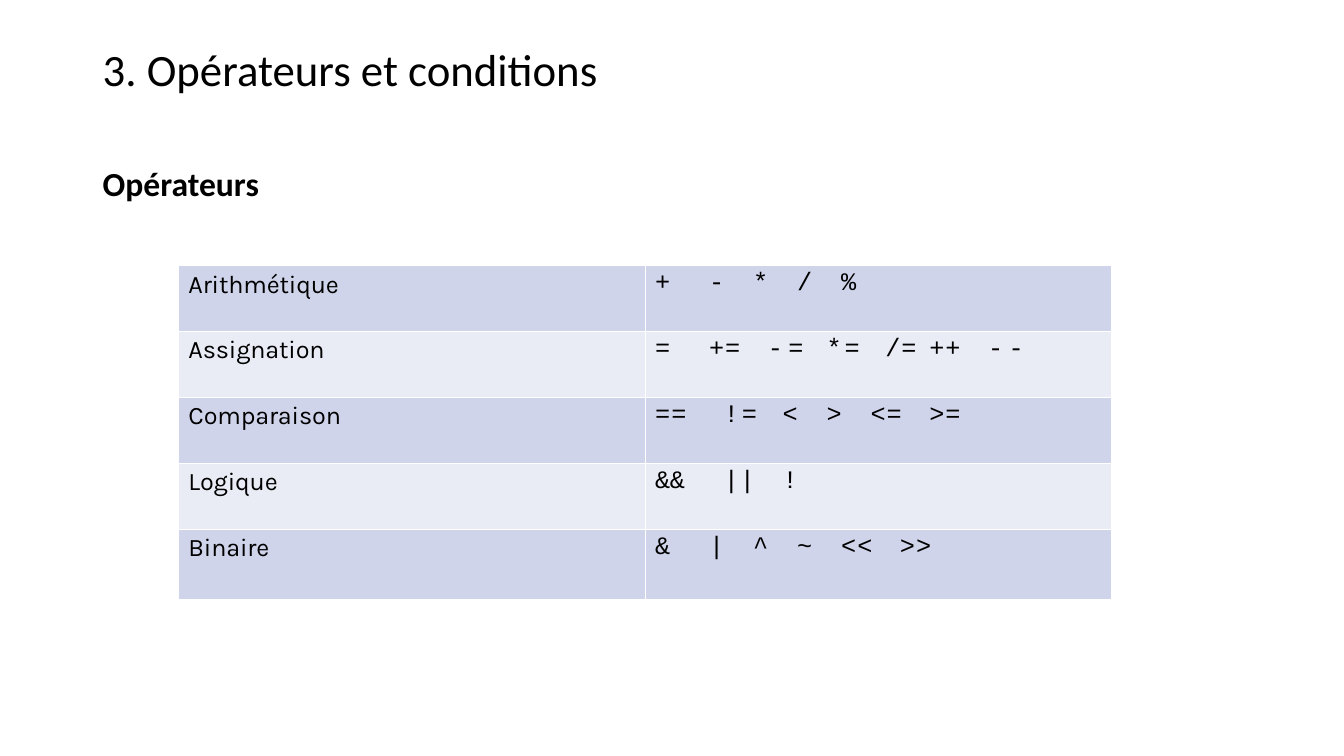
import pptx
import pptx.dml.color
import pptx.enum.text
import pptx.oxml.ns
import pptx.util
from lxml import etree

Cm = pptx.util.Cm
Pt = pptx.util.Pt

TAB_ORIGIN, CHARACTER_WIDTH = 0.25, 0.37
BAND_FILLS = ["CFD4EA", "E9EBF5"]

# Each operator run is (text, letter spacing in points); tab stops are in character columns.
OPERATORS = [
    ("Arithmétique", [3, 6, 9, 12],
     [("+\t", 0.5), ("-\t*\t", 3.4), ("/\t", 0.5), ("%", -0.5)]),
    ("Assignation", [3, 7, 11, 15, 18, 22],
     [("=\t", 0.5), ("+=\t", 0.6), ("-", 3.8), ("=\t", 0.5), ("*=\t", 2.1),
      ("/=\t", 0.8), ("++\t", 0.7), ("-", 3.9), ("-", 3.4)]),
    ("Comparaison", [4, 8, 11, 14, 18],
     [("==\t", 0.8), ("!=\t", 2.1), ("<\t>\t", 0.5), ("<=\t>=", 0.7)]),
    ("Logique", [4, 8],
     [("&&\t", -0.2), ("||\t", 0.8), ("!", 3.4)]),
    ("Binaire", [3, 6, 9, 12, 16],
     [("&\t", -0.5), ("|\t^\t~\t", 0.5), ("<<\t>>", 0.7)]),
]


def color(hex_code):
    """Turn a hex string into a colour."""
    return pptx.dml.color.RGBColor.from_string(hex_code)


def add_child(parent, tag, **attributes):
    """Append a DrawingML element to its parent."""
    return etree.SubElement(parent, pptx.oxml.ns.qn(tag), attributes)


def style_run(run, font_name, size, bold=False, spacing=0):
    """Format one run of black text."""
    run.font.name = font_name
    run.font.size = Pt(size)
    run.font.bold = bold
    run.font.color.rgb = color("000000")
    if spacing:
        run._r.get_or_add_rPr().set("spc", str(round(spacing * 100)))


def add_heading(slide, box, text, size, bold, anchor, line_spacing):
    """Place a one-line heading in its box."""
    frame = slide.shapes.add_textbox(*map(Cm, box)).text_frame
    frame.word_wrap = True
    frame.vertical_anchor = anchor
    frame.text = text
    heading = frame.paragraphs[0]
    heading.line_spacing = line_spacing
    style_run(heading.runs[0], "Calibri", size, bold)


def style_cell(cell, fill):
    """Give a cell its margins, white borders and fill."""
    cell.margin_left, cell.margin_top = Cm(0.25), Cm(0.1)
    cell.margin_right = cell.margin_bottom = Cm(0)
    properties = cell._tc.get_or_add_tcPr()
    for side in "LRTB":
        border = add_child(properties, f"a:ln{side}", w=str(Pt(1)))
        add_child(add_child(border, "a:solidFill"), "a:srgbClr", val="FFFFFF")
    cell.fill.solid()
    cell.fill.fore_color.rgb = color(fill)


def fill_cell(cell, runs, font_name, columns=()):
    """Write letter-spaced runs and their tab stops into a cell."""
    paragraph = cell.text_frame.paragraphs[0]
    if columns:
        tab_list = add_child(paragraph._p.get_or_add_pPr(), "a:tabLst")
        for column in columns:
            position = Cm(TAB_ORIGIN + CHARACTER_WIDTH * column)
            add_child(tab_list, "a:tab", pos=str(position), algn="l")
    for text, spacing in runs:
        run = paragraph.add_run()
        run.text = text
        style_run(run, font_name, 18, spacing=spacing)


def add_operator_table(slide, box):
    """Place the operator families and their symbols in the box."""
    left, top, width, height = map(Cm, box)
    table = slide.shapes.add_table(len(OPERATORS), 2, left, top, width, height).table
    table.first_row = table.horz_banding = False
    for index, (family, columns, symbols) in enumerate(OPERATORS):
        table.rows[index].height = Cm(1.66)
        family_cell, symbol_cell = table.rows[index].cells
        for cell in (family_cell, symbol_cell):
            style_cell(cell, BAND_FILLS[index % 2])
        fill_cell(family_cell, [(family, -0.1)], "Karla")
        fill_cell(symbol_cell, symbols, "Courier New", columns)
    table.rows[len(OPERATORS) - 1].height = Cm(1.77)


def build_operator_slide(presentation):
    """Build the slide on operators."""
    slide = presentation.slides.add_slide(presentation.slide_layouts[6])
    anchors = pptx.enum.text.MSO_ANCHOR
    add_heading(slide, (2.34, 1.02, 29.2, 1.6), "3. Opérateurs et conditions",
                32, False, anchors.MIDDLE, 0.9)
    add_heading(slide, (2.34, 3.99, 29.2, 3.33), "Opérateurs",
                24, True, anchors.TOP, 1.0)
    add_operator_table(slide, (4.5, 6.7, 23.52, 8.41))


def main():
    """Create and save the presentation."""
    presentation = pptx.Presentation()
    presentation.slide_width, presentation.slide_height = Cm(33.87), Cm(19.05)
    build_operator_slide(presentation)
    presentation.save("out.pptx")


if __name__ == "__main__":
    main()
